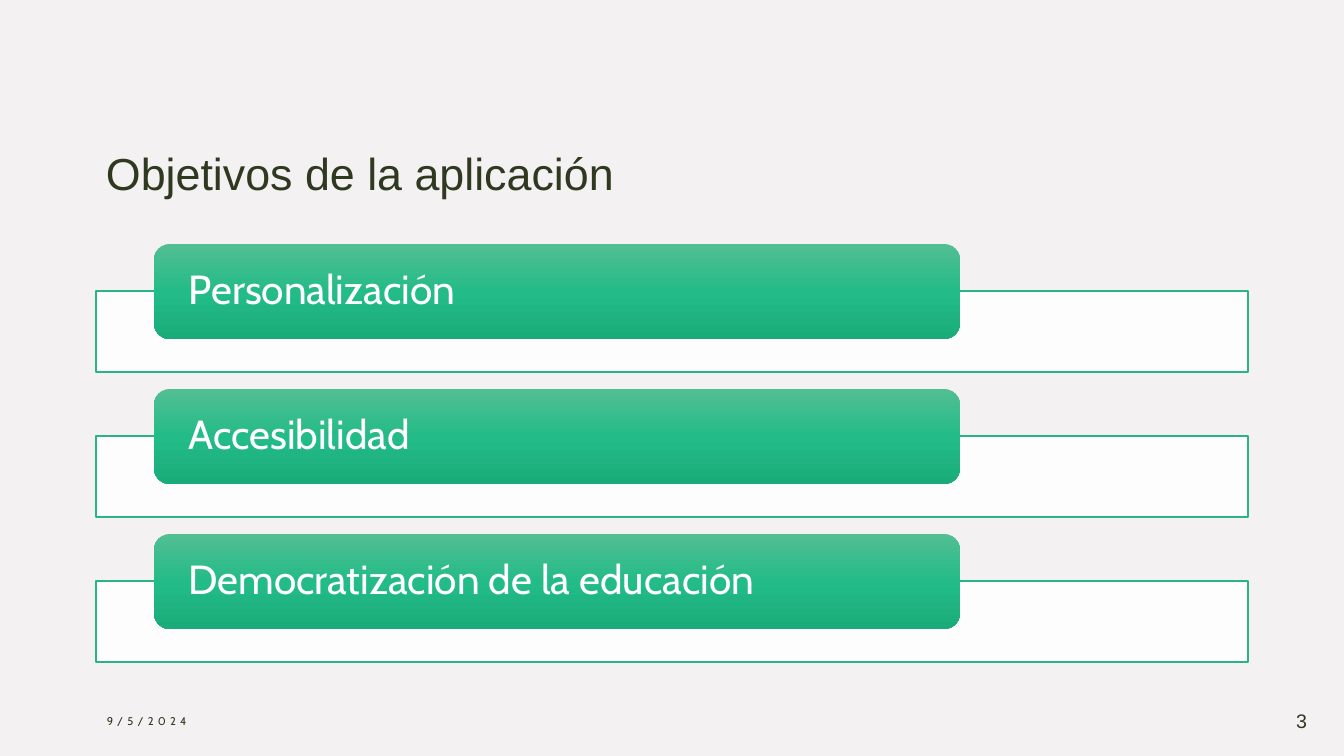
from lxml.etree import SubElement
from pptx import Presentation
from pptx.dml.color import RGBColor
from pptx.enum.shapes import MSO_SHAPE as SHAPE
from pptx.enum.text import MSO_ANCHOR as ANCHOR, PP_ALIGN as ALIGN
from pptx.oxml.ns import qn
from pptx.util import Emu, Pt

DARK, WHITE, GREEN, MAUVE = "2F3920", "FFFFFF", "2AB485", "B5A2A9"
GRADIENT = [(0, "52BF93"), (50, "23BB87"), (100, "19AC7A")]
GOALS = ["Personalización", "Accesibilidad", "Democratización de la educación"]
GOAL_PITCH = 145


def px(n):
    return Emu(round(n * 914400 / 100.8))


def color(value):
    return RGBColor.from_string(value)


def write(sp, text, size, font, value, anchor=ANCHOR.MIDDLE, align=ALIGN.LEFT):
    tf = sp.text_frame
    tf.word_wrap = True
    tf.vertical_anchor = anchor
    tf.text = text
    p = tf.paragraphs[0]
    p.alignment = align
    r = p.runs[0]
    r.font.size = Pt(size)
    r.font.name = font
    r.font.color.rgb = color(value)
    return p


def add_text(s, box, *args, **kwargs):
    return write(s.shapes.add_textbox(*map(px, box)), *args, **kwargs)


def add_panel(s, box, fill, opacity, line=None):
    sp = s.shapes.add_shape(SHAPE.RECTANGLE, *map(px, box))
    sp.shadow.inherit = False
    sp.fill.solid()
    sp.fill.fore_color.rgb = color(fill)
    clr = sp.fill._xPr.find(qn("a:solidFill"))[0]
    SubElement(clr, qn("a:alpha"), val=str(opacity * 1000))
    if line:
        sp.line.color.rgb = color(line)
        sp.line.width = Pt(1)
    else:
        sp.line.fill.background()


def fill_gradient(sp, stops):
    sp.fill.gradient()
    sp.fill.gradient_angle = 270
    gs_list = sp.fill._xPr.find(qn("a:gradFill")).find(qn("a:gsLst"))
    gs_list.clear()
    for pos, value in stops:
        gs = SubElement(gs_list, qn("a:gs"), pos=str(pos * 1000))
        SubElement(gs, qn("a:srgbClr"), val=value)


def add_pill(s, box, text):
    sp = s.shapes.add_shape(SHAPE.ROUNDED_RECTANGLE, *map(px, box))
    sp.shadow.inherit = False
    fill_gradient(sp, GRADIENT)
    sp.line.fill.background()
    p = write(sp, text, 29, "Cabin", WHITE)
    p.line_spacing = 0.9
    tf = sp.text_frame
    tf.margin_left = tf.margin_right = px(30)
    tf.margin_top = tf.margin_bottom = 0


def main():
    prs = Presentation()
    prs.slide_width, prs.slide_height = px(1344), px(756)
    s = prs.slides.add_slide(prs.slide_layouts[6])
    add_panel(s, (0, 0, 1344, 756), MAUVE, 15)
    add_text(s, (96, 65, 1152, 139), "Objetivos de la aplicación", 32, "Arial", DARK,
             anchor=ANCHOR.BOTTOM)
    for i, goal in enumerate(GOALS):
        top = 244 + i * GOAL_PITCH
        add_panel(s, (96, top + 47, 1152, 81), WHITE, 90, GREEN)
        add_pill(s, (154, top, 806, 95), goal)
    date = add_text(s, (97, 701, 302, 40), "9/5/2024", 8, "Cabin", DARK)
    date.runs[0].font._element.set("spc", "300")
    add_text(s, (1260, 701, 57, 40), "3", 14, "Arial", DARK, align=ALIGN.RIGHT)
    prs.save("out.pptx")


if __name__ == "__main__":
    main()
